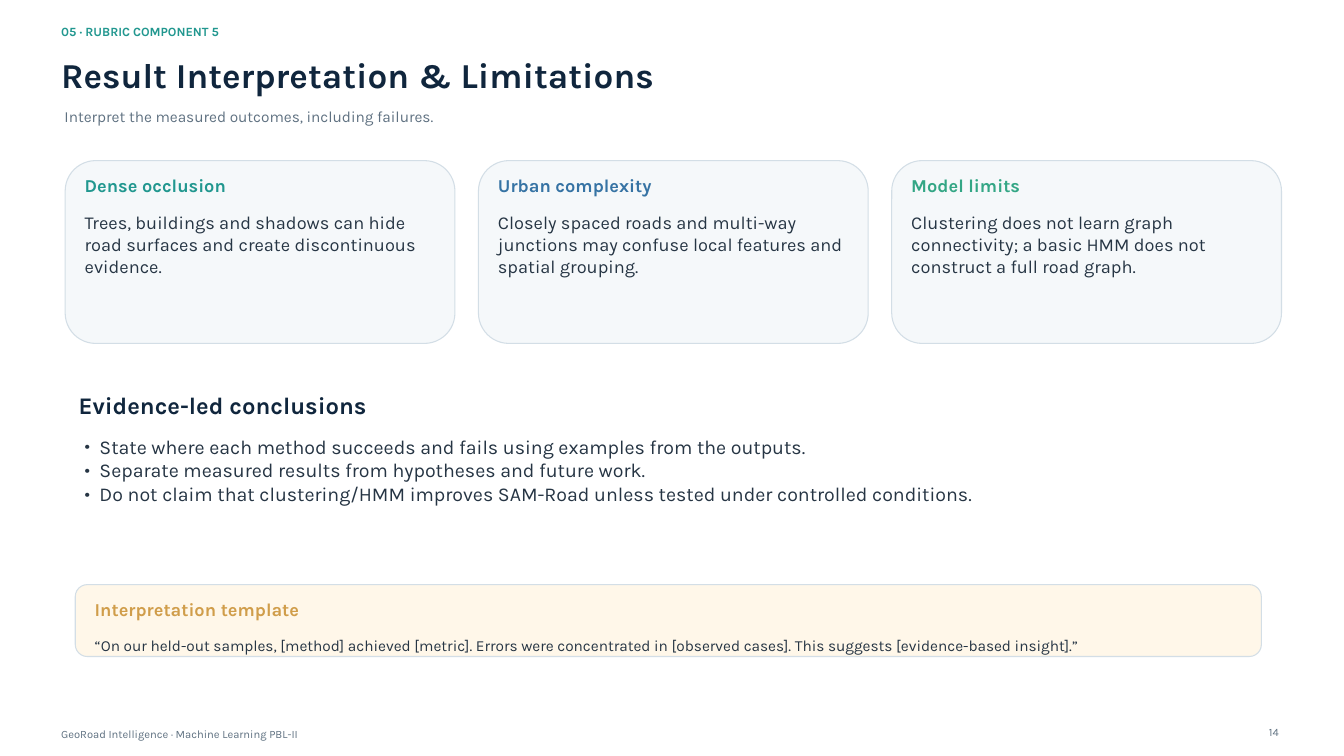
from dataclasses import dataclass

from lxml.etree import SubElement
from pptx import Presentation
from pptx.dml.color import RGBColor
from pptx.enum.shapes import MSO_SHAPE
from pptx.enum.text import MSO_ANCHOR, MSO_AUTO_SIZE, PP_ALIGN
from pptx.oxml.ns import qn
from pptx.util import Inches, Pt


@dataclass(frozen=True)
class Theme:
    font: str = "Karla"
    navy: str = "10263D"
    ink: str = "263544"
    muted: str = "5F7181"
    teal: str = "21978F"
    blue: str = "3673A4"
    green: str = "33A685"
    gold: str = "D09D4A"
    card: str = "F5F8FA"
    cream: str = "FFF7E9"
    border: str = "D3DEE6"
    title: float = 37.5
    section: float = 25.5
    bullets: float = 21
    body: float = 19.5
    small: float = 16.5
    label: float = 13.5
    footer: float = 12


theme = Theme()


def box(*lengths):
    return [Inches(length) for length in lengths]


def write(holder, text, *, size, color, bold=False, align=PP_ALIGN.LEFT, hang=0):
    """Fill a text holder, one paragraph per line; hang is the bullet indent."""
    frame = holder.text_frame
    frame.word_wrap = True
    frame.auto_size = MSO_AUTO_SIZE.NONE
    frame.vertical_anchor = MSO_ANCHOR.TOP
    frame.margin_left = frame.margin_right = frame.margin_top = frame.margin_bottom = 0
    frame.text = text
    for paragraph in frame.paragraphs:
        if hang:
            properties = paragraph._p.get_or_add_pPr()
            properties.set("marL", str(Inches(hang)))
            properties.set("indent", str(-Inches(hang)))
            SubElement(properties, qn("a:buFont"), typeface=theme.font)
            SubElement(properties, qn("a:buChar"), char="•")
        paragraph.alignment = align
        paragraph.line_spacing = Pt(size * 1.2)
        paragraph.space_before = Pt(0)
        paragraph.font.name = theme.font
        paragraph.font.size = Pt(size)
        paragraph.font.bold = bold
        paragraph.font.color.rgb = RGBColor.from_string(color)


prs = Presentation()
prs.slide_width, prs.slide_height = box(20, 11.25)
slide = prs.slides.add_slide(prs.slide_layouts[5])
shapes = slide.shapes

# Header
write(shapes.add_textbox(*box(0.91, 0.36, 18.08, 0.26)), "05 · RUBRIC COMPONENT 5",
      size=theme.label, color=theme.teal, bold=True)
title = shapes.title
title.left, title.top, title.width, title.height = box(0.91, 0.79, 18.08, 0.7)
write(title, "Result Interpretation & Limitations",
      size=theme.title, color=theme.navy, bold=True)
write(shapes.add_textbox(*box(0.96, 1.6, 17.93, 0.37)),
      "Interpret the measured outcomes, including failures.",
      size=theme.small, color=theme.muted)

# Three limitation cards and the interpretation template
limitations = [
    ("Dense occlusion", theme.teal,
     "Trees, buildings and shadows can hide road surfaces and create "
     "discontinuous evidence."),
    ("Urban complexity", theme.blue,
     "Closely spaced roads and multi-way junctions may confuse local features "
     "and spatial grouping."),
    ("Model limits", theme.green,
     "Clustering does not learn graph connectivity; a basic HMM does not "
     "construct a full road graph."),
]
card_left, card_width, card_gap = 0.97, 5.8, 0.35
cards = [
    (card_left + column * (card_width + card_gap), 2.39, card_width, 2.72,
     theme.card, theme.body, *limitation)
    for column, limitation in enumerate(limitations)
]
cards.append((
    1.12, 8.7, 17.65, 1.07, theme.cream, theme.small,
    "Interpretation template", theme.gold,
    "“On our held-out samples, [method] achieved [metric]. Errors were "
    "concentrated in [observed cases]. This suggests [evidence-based insight].”",
))
padding = 0.29
for left, top, width, height, fill, body_size, heading, accent, body in cards:
    panel = shapes.add_shape(MSO_SHAPE.ROUNDED_RECTANGLE, *box(left, top, width, height))
    panel.shadow.inherit = False
    panel.fill.solid()
    panel.fill.fore_color.rgb = RGBColor.from_string(fill)
    panel.line.color.rgb = RGBColor.from_string(theme.border)
    panel.line.width = Pt(1.13)
    text_left, text_width = left + padding, width - 2 * padding
    write(shapes.add_textbox(*box(text_left, top + 0.2, text_width, 0.37)), heading,
          size=theme.body, color=accent, bold=True)
    write(shapes.add_textbox(*box(text_left, top + 0.76, text_width, height - 0.92)), body,
          size=body_size, color=theme.ink)

# Conclusions
write(shapes.add_textbox(*box(1.17, 5.82, 17.63, 0.45)), "Evidence-led conclusions",
      size=theme.section, color=theme.navy, bold=True)
conclusions = [
    "State where each method succeeds and fails using examples from the outputs.",
    "Separate measured results from hypotheses and future work.",
    "Do not claim that clustering/HMM improves SAM-Road unless tested under "
    "controlled conditions.",
]
write(shapes.add_textbox(*box(1.26, 6.47, 17.31, 1.99)), "\n".join(conclusions),
      size=theme.bullets, color=theme.ink, hang=0.22)

# Footer
write(shapes.add_textbox(*box(0.91, 10.82, 15.68, 0.16)),
      "GeoRoad Intelligence · Machine Learning PBL-II",
      size=theme.footer, color=theme.muted)
write(shapes.add_textbox(*box(18.28, 10.79, 0.75, 0.18)), "14",
      size=theme.footer, color=theme.muted, align=PP_ALIGN.RIGHT)

prs.save("out.pptx")
